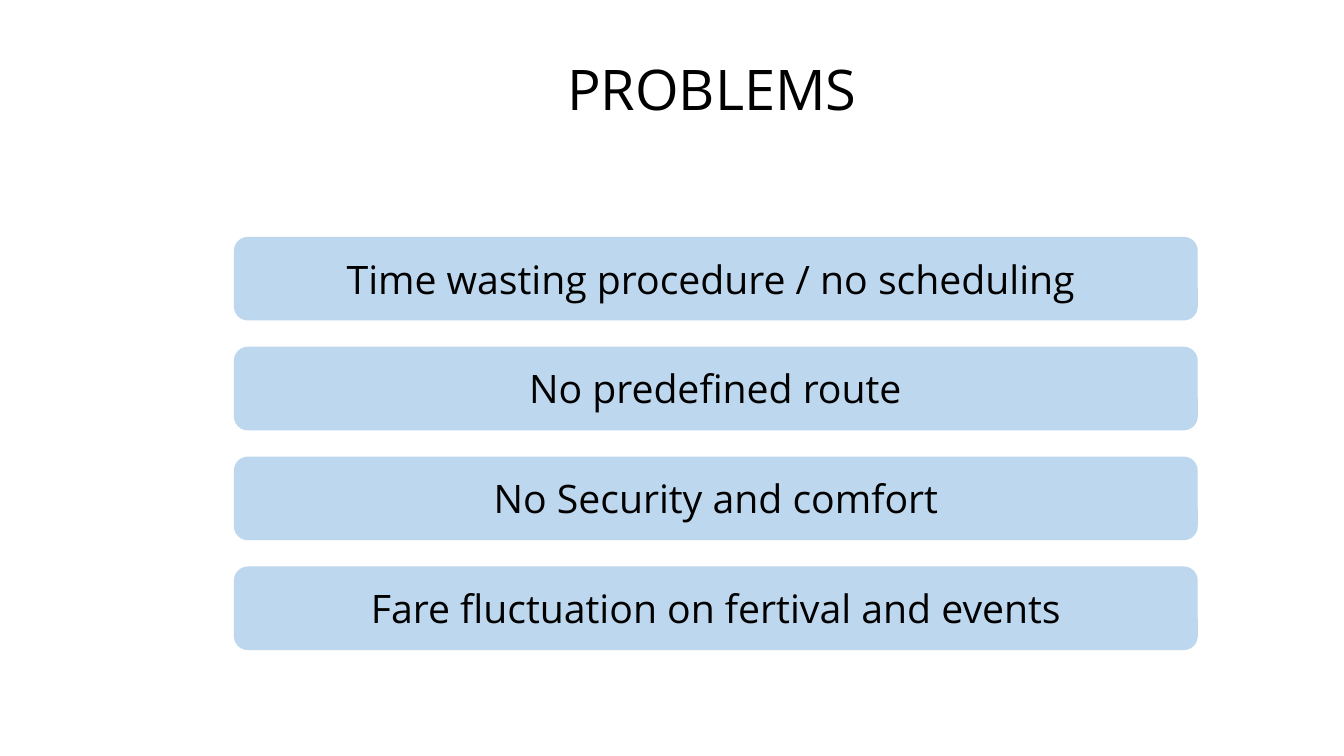
from dataclasses import dataclass

from pptx import Presentation
from pptx.dml.color import RGBColor
from pptx.enum.shapes import MSO_SHAPE
from pptx.enum.text import MSO_ANCHOR, MSO_AUTO_SIZE, PP_ALIGN
from pptx.slide import Slide
from pptx.util import Inches, Pt

FONT = "Open Sans"
BLACK = RGBColor(0x00, 0x00, 0x00)
PALE_BLUE = RGBColor(0xBD, 0xD7, 0xEE)

BAR_LEFT, BAR_TOP, BAR_WIDTH, BAR_HEIGHT = 2.32, 2.35, 9.56, 0.83
BAR_PITCH = 1.09
LABEL_HEIGHT = 0.57
LABEL_INSET = (BAR_HEIGHT - LABEL_HEIGHT) / 2


@dataclass
class Problem:
    text: str
    left: float
    width: float
    align: PP_ALIGN = PP_ALIGN.CENTER


PROBLEMS = [
    Problem("Time wasting procedure / no scheduling", 3.34, 7.5, PP_ALIGN.LEFT),
    Problem("No predefined route", 5.13, 3.93),
    Problem("No Security and comfort", 4.77, 4.66),
    Problem("Fare fluctuation on fertival and events", 3.54, 7.12),
]


def add_text(slide: Slide, text: str, left: float, top: float, width: float,
             height: float, size: int, align: PP_ALIGN, wrap: bool,
             anchor: MSO_ANCHOR) -> None:
    frame = slide.shapes.add_textbox(
        Inches(left), Inches(top), Inches(width), Inches(height)).text_frame
    frame.word_wrap = wrap
    frame.auto_size = MSO_AUTO_SIZE.SHAPE_TO_FIT_TEXT
    frame.vertical_anchor = anchor
    paragraph = frame.paragraphs[0]
    paragraph.text = text
    paragraph.alignment = align
    paragraph.font.name = FONT
    paragraph.font.size = Pt(size)
    paragraph.font.color.rgb = BLACK


def add_problem(slide: Slide, problem: Problem, top: float) -> None:
    bar = slide.shapes.add_shape(
        MSO_SHAPE.ROUNDED_RECTANGLE, Inches(BAR_LEFT), Inches(top),
        Inches(BAR_WIDTH), Inches(BAR_HEIGHT))
    bar.shadow.inherit = False
    bar.fill.solid()
    bar.fill.fore_color.rgb = PALE_BLUE
    bar.line.fill.background()
    add_text(slide, problem.text, problem.left, top + LABEL_INSET,
             problem.width, LABEL_HEIGHT, 28, problem.align, False,
             MSO_ANCHOR.TOP)


def main() -> None:
    presentation = Presentation()
    presentation.slide_width = Inches(13.33)
    presentation.slide_height = Inches(7.5)
    slide = presentation.slides.add_slide(presentation.slide_layouts[6])

    # Heading
    add_text(slide, "PROBLEMS", 4.91, 0.49, 4.3, 0.77, 40, PP_ALIGN.CENTER,
             True, MSO_ANCHOR.MIDDLE)

    # Stack of problem bars
    for row, problem in enumerate(PROBLEMS):
        add_problem(slide, problem, BAR_TOP + row * BAR_PITCH)

    presentation.save("out.pptx")


if __name__ == "__main__":
    main()
